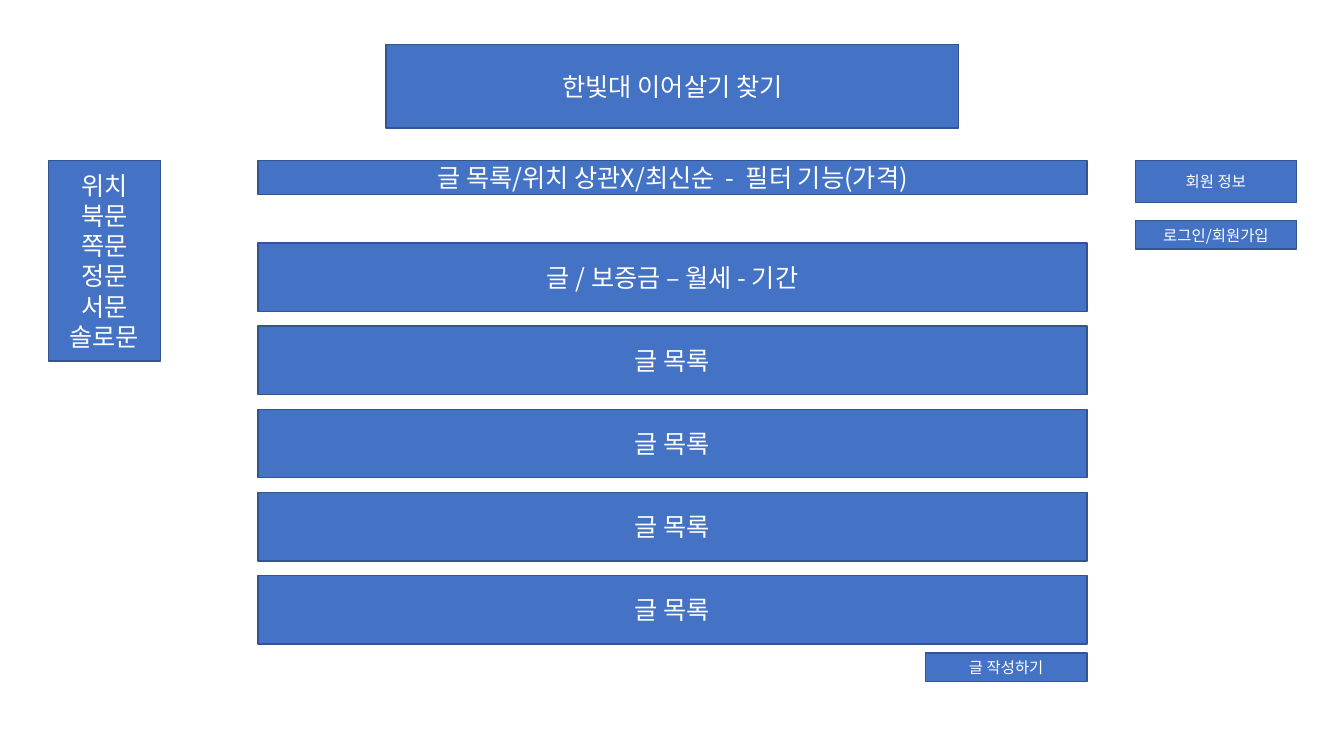
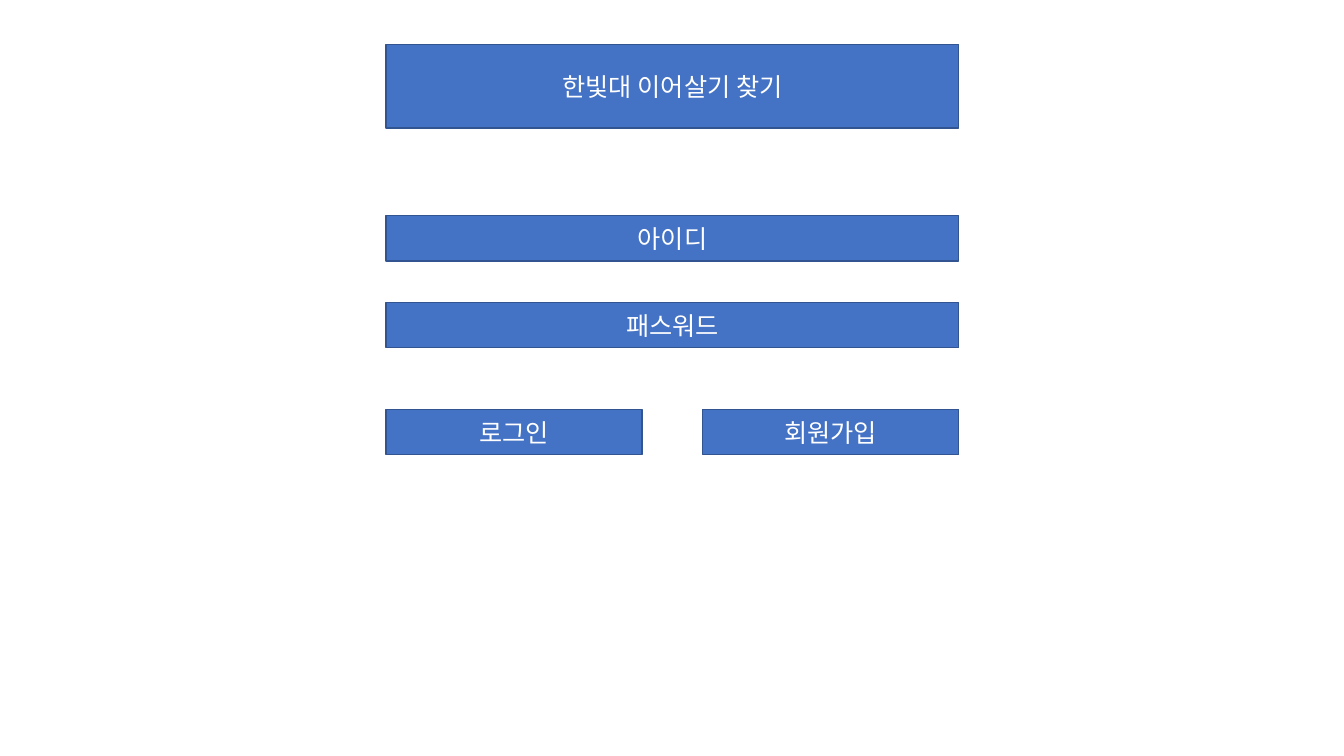
"""Wireframes of a room-takeover board: the list page and the login page."""
from lxml.etree import SubElement
from pptx import Presentation
from pptx.dml.color import RGBColor
from pptx.enum.shapes import MSO_SHAPE as Preset
from pptx.enum.text import MSO_ANCHOR as Anchor, PP_ALIGN as Align
from pptx.oxml.ns import qn
from pptx.util import Inches, Pt


def color(hex_code):
    """Return the colour for a hex string."""
    return RGBColor.from_string(hex_code)


class Wireframe:
    """Hold the shared style and the slide being drawn."""

    FONT = "Noto Sans CJK KR"
    FILL, BORDER, TEXT = "4472C4", "325491", "FFFFFF"
    BODY, SMALL = 18, 11
    HEADER_LEFT, HEADER_WIDTH = 3.83, 5.68

    def __init__(self):
        """Start an empty widescreen presentation."""
        self.deck = Presentation()
        self.deck.slide_width = Inches(13.33)
        self.deck.slide_height = Inches(7.5)
        self.slide = None

    def page(self, title):
        """Add a slide with the site header."""
        self.slide = self.deck.slides.add_slide(self.deck.slide_layouts[6])
        self.box(title, self.HEADER_LEFT, 0.44, self.HEADER_WIDTH, 0.83)

    def box(self, label, left, top, width, height, size=BODY):
        """Add a labelled rectangle."""
        panel = self.slide.shapes.add_shape(
            Preset.RECTANGLE, Inches(left), Inches(top), Inches(width), Inches(height))
        panel.shadow.inherit = False
        panel.fill.solid()
        panel.fill.fore_color.rgb = color(self.FILL)
        panel.line.color.rgb = color(self.BORDER)
        panel.line.width = Pt(1)
        frame = panel.text_frame
        frame.word_wrap = True
        frame.vertical_anchor = Anchor.MIDDLE
        frame.text = label
        for paragraph in frame.paragraphs:
            self.style(paragraph, size)

    def style(self, paragraph, size):
        """Apply the shared text style, Korean font included."""
        paragraph.alignment = Align.CENTER
        font = paragraph.font
        font.name = self.FONT
        font.size = Pt(size)
        font.color.rgb = color(self.TEXT)
        defaults = paragraph._p.pPr.find(qn("a:defRPr"))
        SubElement(defaults, qn("a:ea"), typeface=self.FONT)

    def button(self, label, left, top, height=0.28):
        """Add a small button."""
        self.box(label, left, top, 1.6, height, self.SMALL)


SITE_TITLE = "한빛대 이어살기 찾기"
LIST_LEFT, LIST_WIDTH = 2.56, 8.22
LIST_TOP, POST_HEIGHT, POST_STEP = 2.41, 0.68, 0.825
MENU_TOP, MEMBER_LEFT = 1.59, 11.26
FIELD_HEIGHT, ACTION_WIDTH = 0.45, 2.54

wireframe = Wireframe()

wireframe.page(SITE_TITLE)
wireframe.box("위치\v북문\v쪽문\n정문\n서문\n솔로문", 0.48, MENU_TOP, 1.11, 1.99)
wireframe.box("글 목록/위치 상관X/최신순  -  필터 기능(가격)",
              LIST_LEFT, MENU_TOP, LIST_WIDTH, 0.34)
posts = ["글 / 보증금 – 월세 - 기간"] + ["글 목록"] * 4
for row, post in enumerate(posts):
    wireframe.box(post, LIST_LEFT, LIST_TOP + row * POST_STEP, LIST_WIDTH, POST_HEIGHT)
wireframe.button("글 작성하기", 9.18, 6.48)
wireframe.button("회원 정보", MEMBER_LEFT, MENU_TOP, 0.42)
wireframe.button("로그인/회원가입", MEMBER_LEFT, 2.19)

wireframe.page(SITE_TITLE)
for field, top in (("아이디", 2.14), ("패스워드", 3)):
    wireframe.box(field, wireframe.HEADER_LEFT, top, wireframe.HEADER_WIDTH, FIELD_HEIGHT)
for action, left in (("로그인", wireframe.HEADER_LEFT), ("회원가입", 6.97)):
    wireframe.box(action, left, 4.06, ACTION_WIDTH, FIELD_HEIGHT)

wireframe.deck.save("out.pptx")
